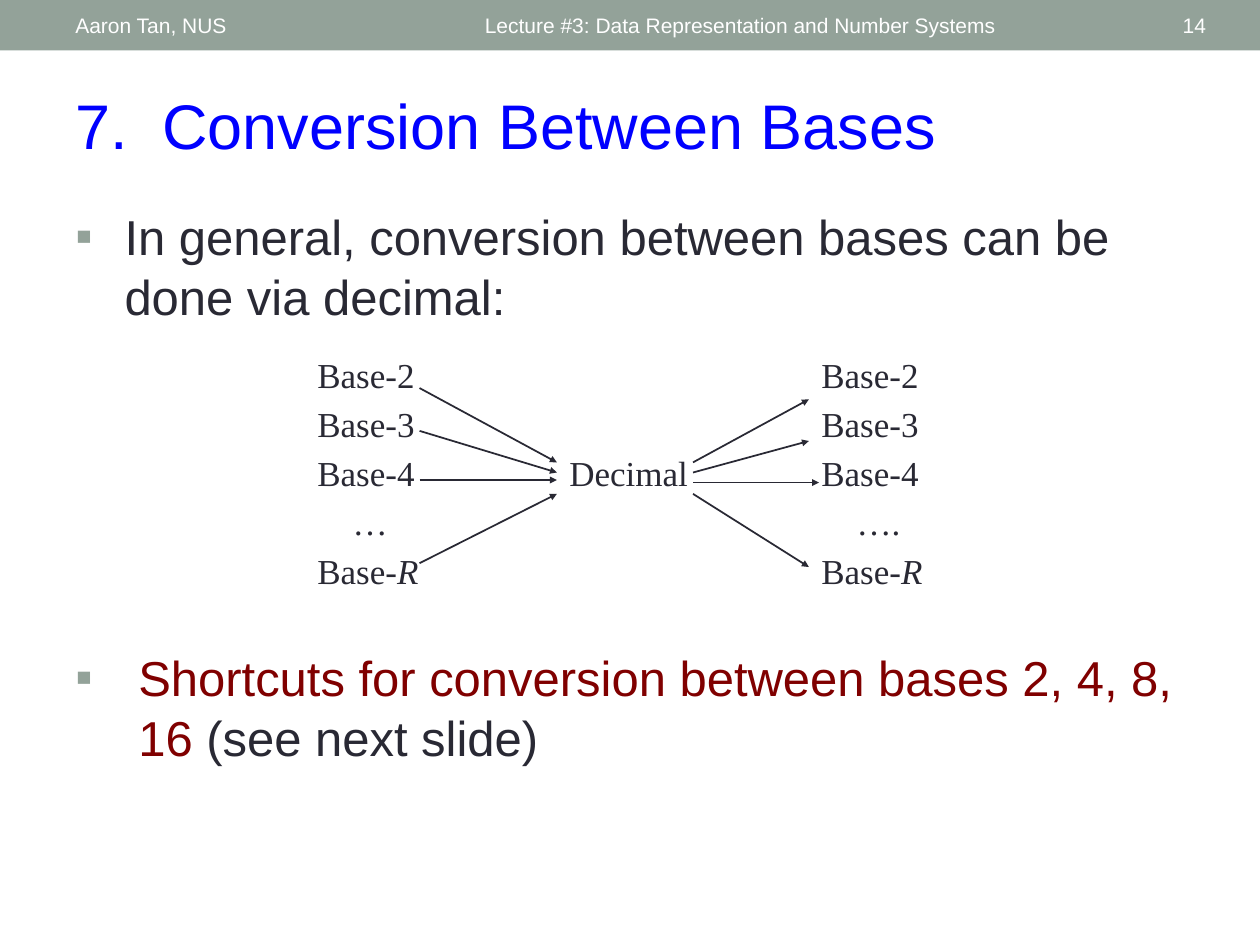
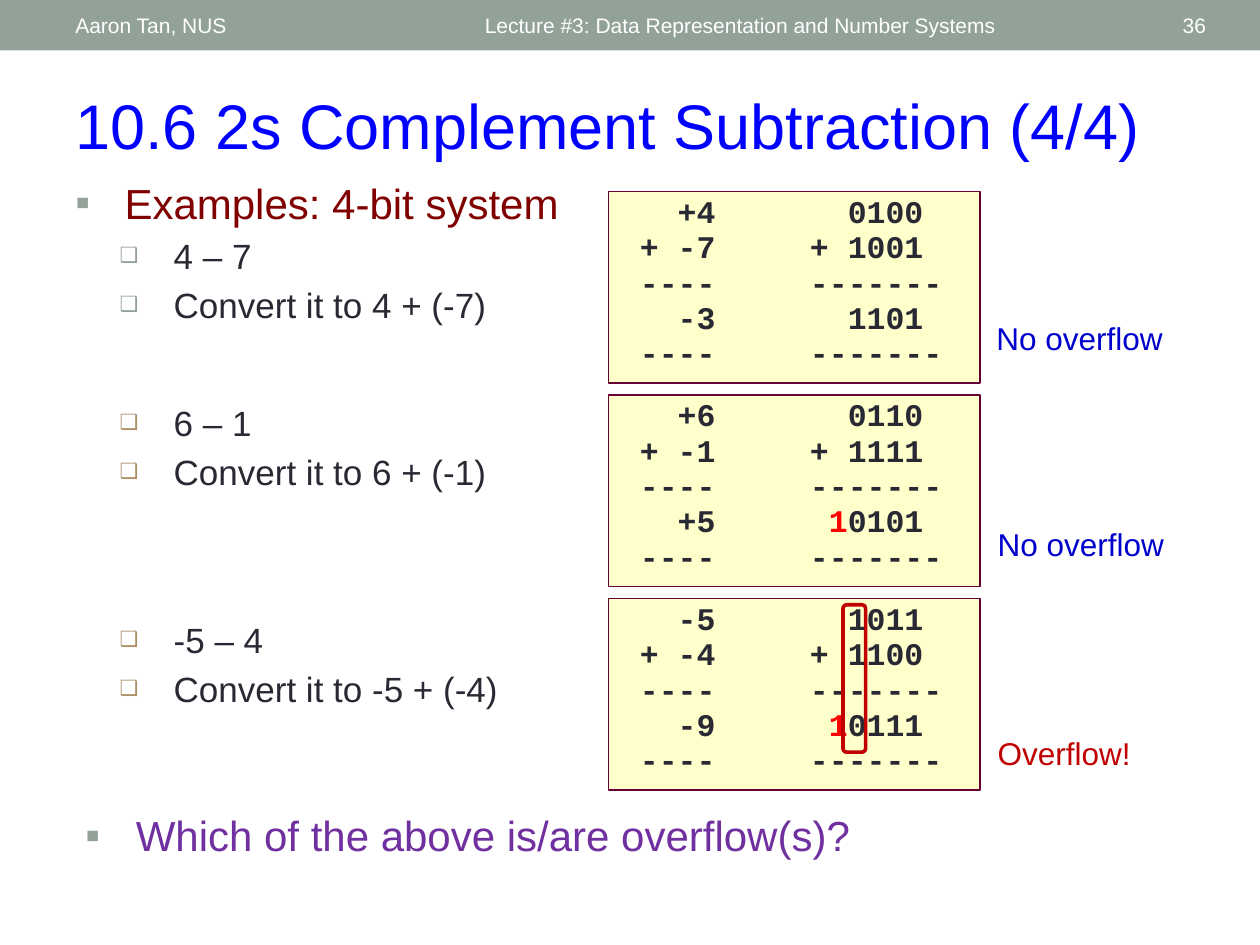
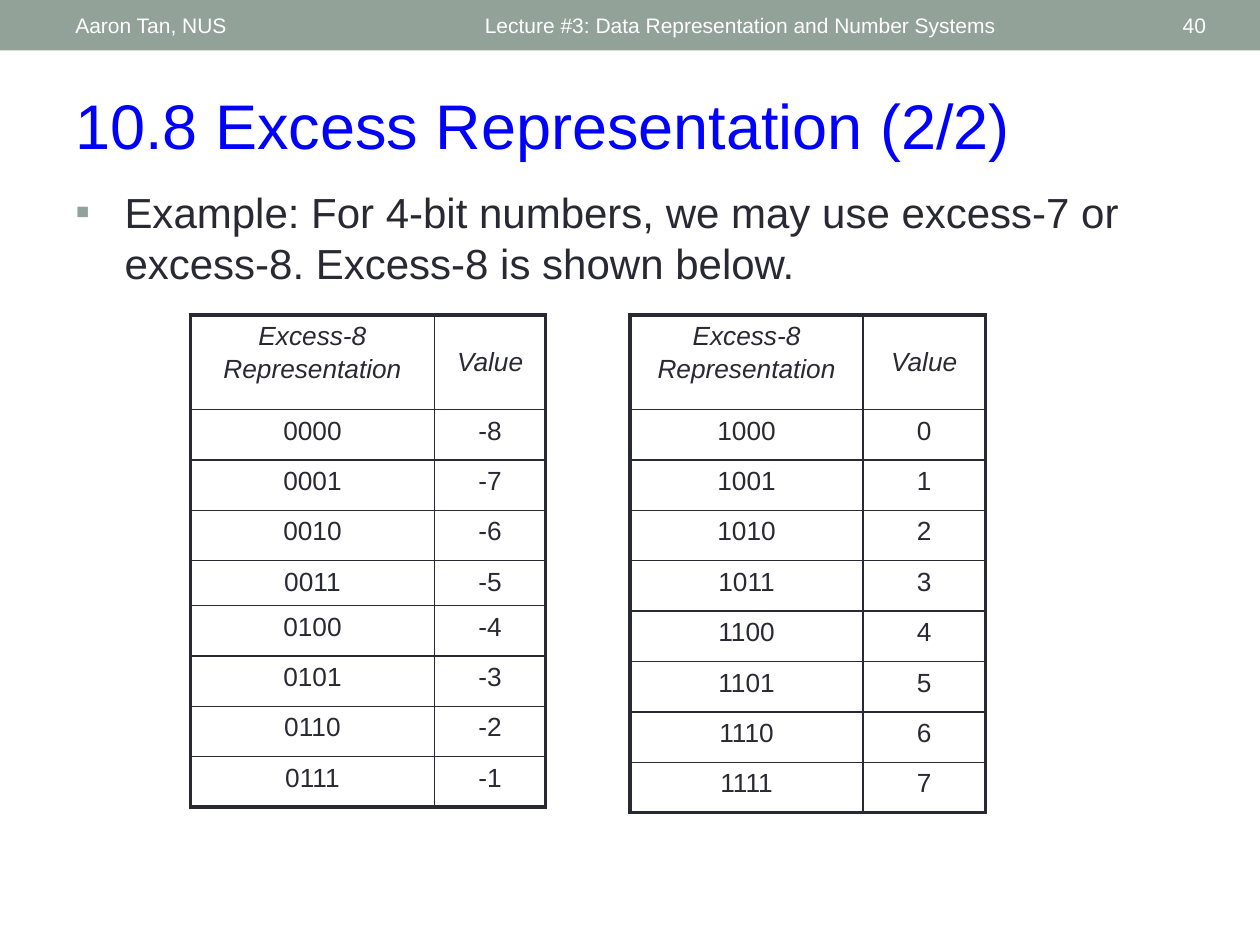
import dataclasses

import lxml.etree
import pptx
import pptx.dml.color
import pptx.enum.shapes
import pptx.enum.text
import pptx.oxml
import pptx.oxml.ns
import pptx.util

Inches = pptx.util.Inches
Pt = pptx.util.Pt
qn = pptx.oxml.ns.qn
Color = pptx.dml.color.RGBColor.from_string
Align = pptx.enum.text.PP_ALIGN
Anchor = pptx.enum.text.MSO_ANCHOR
Shape = pptx.enum.shapes.MSO_SHAPE


@dataclasses.dataclass(frozen=True)
class Theme:
    sage: str = "93A299"
    tan: str = "AD8F67"
    ink: str = "292934"
    white: str = "FFFFFF"
    title_blue: str = "0000FF"
    label_blue: str = "0000CC"
    maroon: str = "800000"
    purple: str = "7030A0"
    carry_red: str = "FF0000"
    alert_red: str = "C00000"
    panel_fill: str = "FFFFCC"
    panel_line: str = "660033"
    sans: str = "Arial"
    serif: str = "Times New Roman"
    mono: str = "Courier New"
    header_size: int = 12
    title_size: int = 36
    large_size: int = 28
    body_size: int = 24
    detail_size: int = 20
    small_size: int = 18
    table_size: int = 15
    line_spacing: float = 1.02


theme = Theme()
square_bullet = ("▪", theme.sage, 100)


def add_text_frame(slide, left, top, width, height, anchor=Anchor.TOP):
    box = slide.shapes.add_textbox(Inches(left), Inches(top), Inches(width), Inches(height))
    box.text_frame.word_wrap = True
    box.text_frame.vertical_anchor = anchor
    return box.text_frame


def write_line(frame, runs, size, font=theme.sans, bullet=None, margin=0, tabs=(), hanging=0,
               before=0, spacing=theme.line_spacing, align=Align.LEFT, bold=False, italic=False):
    """Add one paragraph; runs are (text, colour) or (text, colour, italic)."""
    paragraph = frame.paragraphs[0]
    if paragraph.runs:
        paragraph = frame.add_paragraph()
        paragraph.space_before = Pt(before)
    properties = paragraph._p.get_or_add_pPr()
    if hanging:  # an explicit indent would cancel the tab stops
        properties.set("marL", str(Inches(margin)))
        properties.set("indent", str(-Inches(hanging)))
    if bullet:
        character, color, percent = bullet
        color_element = lxml.etree.SubElement(properties, qn("a:buClr"))
        lxml.etree.SubElement(color_element, qn("a:srgbClr"), val=color)
        lxml.etree.SubElement(properties, qn("a:buSzPct"), val=str(percent * 1000))
        lxml.etree.SubElement(properties, qn("a:buFont"), typeface=theme.sans)
        lxml.etree.SubElement(properties, qn("a:buChar"), char=character)
    if tabs:
        tab_list = lxml.etree.SubElement(properties, qn("a:tabLst"))
        for position, side in tabs:
            lxml.etree.SubElement(tab_list, qn("a:tab"), pos=str(Inches(position)), algn=side)
    paragraph.line_spacing = spacing
    paragraph.alignment = align
    for text, color, *slant in runs:
        run = paragraph.add_run()
        run.text = text
        run.font.name = font
        run.font.size = Pt(size)
        run.font.bold = bold
        run.font.italic = slant[0] if slant else italic
        run.font.color.rgb = Color(color)


presentation = pptx.Presentation()
presentation.slide_width = Inches(10)
presentation.slide_height = Inches(7.5)

# Header band and title on every slide
slides = []
for number, title in [("14", "7.\tConversion Between Bases"),
                      ("36", "10.6 2s Complement Subtraction (4/4)"),
                      ("40", "10.8 Excess Representation (2/2)")]:
    slide = presentation.slides.add_slide(presentation.slide_layouts[6])
    slides.append(slide)
    band = slide.shapes.add_shape(Shape.RECTANGLE, 0, 0, Inches(10), Inches(0.4))
    band.shadow.inherit = False
    band.fill.solid()
    band.fill.fore_color.rgb = Color(theme.sage)
    band.line.fill.background()
    for text, left, width, align in [
            ("Lecture #3: Data Representation and Number Systems", 3.75, 4.5, Align.LEFT),
            ("Aaron Tan, NUS", 0.5, 3.17, Align.LEFT),
            (number, 8.72, 0.95, Align.RIGHT)]:
        frame = add_text_frame(slide, left, 0.02, width, 0.36, Anchor.MIDDLE)
        write_line(frame, [(text, theme.white)], theme.header_size, align=align, spacing=1.0)
    frame = add_text_frame(slide, 0.5, 0.64, 9, 0.71)
    write_line(frame, [(title, theme.title_blue)], theme.title_size, margin=0.69, hanging=0.69,
               spacing=1.0)

conversion_slide, subtraction_slide, excess_slide = slides

# Conversion: statements
frame = add_text_frame(conversion_slide, 0.5, 1.58, 9, 1.25)
write_line(frame, [("In general, conversion between bases can be done via decimal:", theme.ink)],
           theme.large_size, bullet=square_bullet, margin=0.39, hanging=0.39)
frame = add_text_frame(conversion_slide, 0.5, 5.08, 9, 1.17)
write_line(frame, [("Shortcuts for conversion between bases 2, 4, 8, 16 ", theme.maroon),
                   ("(see next slide)", theme.ink)],
           theme.large_size, bullet=square_bullet, margin=0.5, hanging=0.5)

# Conversion: bases on both sides of decimal
frame = add_text_frame(conversion_slide, 2.42, 2.75, 5.3, 2.03)
for runs, stops in [
        ([("Base-2\tBase-2", theme.ink)], [4]),
        ([("Base-3\tBase-3", theme.ink)], [4]),
        ([("Base-4\tDecimal\tBase-4", theme.ink)], [2, 4]),
        ([("\t…\t….", theme.ink)], [0.28, 4.28]),
        ([("Base-", theme.ink), ("R\t", theme.ink, True),
          ("Base-", theme.ink), ("R", theme.ink, True)], [4])]:
    write_line(frame, runs, theme.detail_size, theme.serif, before=3.5,
               tabs=[(stop, "l") for stop in stops])

# Conversion: arrows into and out of decimal
for start_x, start_y, end_x, end_y in [
        (3.33, 3.08, 4.42, 3.67), (3.33, 3.42, 4.42, 3.75),
        (3.33, 3.81, 4.42, 3.81), (3.33, 4.47, 4.42, 3.92),
        (5.5, 3.67, 6.42, 3.17), (5.5, 3.75, 6.42, 3.5),
        (5.5, 3.83, 6.5, 3.83), (5.5, 3.92, 6.42, 4.5)]:
    arrow = conversion_slide.shapes.add_connector(
        pptx.enum.shapes.MSO_CONNECTOR.STRAIGHT,
        Inches(start_x), Inches(start_y), Inches(end_x), Inches(end_y))
    arrow.line.color.rgb = Color(theme.ink)
    arrow.line.width = Pt(1)
    lxml.etree.SubElement(arrow.line._get_or_add_ln(), qn("a:tailEnd"),
                          type="triangle", w="sm", len="sm")
    lxml.etree.SubElement(arrow._element.spPr, qn("a:effectLst"))

# Subtraction: examples, sums and verdicts
examples = [
    (1.35, 4.75, 1.32, theme.sage, ["4 – 7", "Convert it to 4 + (-7)"],
     ["+4", "+ -7", "-3"], ["0100", "+ 1001", "", "1101"],
     "No overflow", 7.81, 2.48, 1.69, theme.label_blue),
    (3.13, 4.08, 0.91, theme.tan, ["6 – 1", "Convert it to 6 + (-1)"],
     ["+6", "+ -1", "+5"], ["0110", "+ 1111", "1", "0101"],
     "No overflow", 7.82, 4.12, 1.69, theme.label_blue),
    (4.85, 4.08, 0.91, theme.tan, ["-5 – 4", "Convert it to -5 + (-4)"],
     ["-5", "+ -4", "-9"], ["1011", "+ 1100", "1", "0111"],
     "Overflow!", 7.82, 5.78, 1.43, theme.alert_red),
]
for index, (top, width, height, bullet_color, steps, decimal, binary,
            verdict, verdict_left, verdict_top, verdict_width, verdict_color) in enumerate(examples):
    frame = add_text_frame(subtraction_slide, 0.5, top, width, height)
    if index == 0:
        write_line(frame, [("Examples: 4-bit system", theme.maroon)], theme.body_size,
                   bullet=square_bullet, margin=0.39, hanging=0.39)
    for step in steps:
        write_line(frame, [(step, theme.ink)], theme.detail_size, before=3.5,
                   bullet=("❑", bullet_color, 60), margin=0.78, hanging=0.43)

    panel = subtraction_slide.shapes.add_shape(
        Shape.RECTANGLE, Inches(4.83), Inches(1.52 + 1.615 * index), Inches(2.95), Inches(1.52))
    panel.shadow.inherit = False
    panel.fill.solid()
    panel.fill.fore_color.rgb = Color(theme.panel_fill)
    panel.line.color.rgb = Color(theme.panel_line)
    panel.line.width = Pt(1)
    panel.text_frame.vertical_anchor = Anchor.TOP
    first, second, carry, result = binary
    rule = [("\t----\t-------", theme.ink)]
    for runs in [[(f"\t{decimal[0]}\t{first}", theme.ink)],
                 [(f"\t{decimal[1]}\t{second}", theme.ink)],
                 rule,
                 [(f"\t{decimal[2]}\t", theme.ink)]
                 + ([(carry, theme.carry_red)] if carry else [])
                 + [(result, theme.ink)],
                 rule]:
        right_stop = 2.55 if runs is rule else 2.4
        write_line(panel.text_frame, runs, theme.small_size, theme.mono, before=1.8,
                   spacing=0.85, bold=True, tabs=[(0.75, "r"), (right_stop, "r")])

    frame = add_text_frame(subtraction_slide, verdict_left, verdict_top, verdict_width, 0.4)
    write_line(frame, [(verdict, verdict_color)], theme.small_size, spacing=1.0)

# Subtraction: sign bit outline and closing question
sign_outline = subtraction_slide.shapes.add_shape(
    Shape.ROUNDED_RECTANGLE, Inches(6.69), Inches(4.8), Inches(0.18), Inches(1.17))
sign_outline.shadow.inherit = False
sign_outline.fill.background()
sign_outline.line.color.rgb = Color(theme.alert_red)
sign_outline.line.width = Pt(2.08)
frame = add_text_frame(subtraction_slide, 0.58, 6.37, 9, 0.75)
write_line(frame, [("Which of the above is/are overflow(s)?", theme.purple)], theme.body_size,
           bullet=square_bullet, margin=0.4, hanging=0.4)

# Excess: statement
frame = add_text_frame(excess_slide, 0.5, 1.42, 9, 1.08)
write_line(frame, [("Example: For 4-bit numbers, we may use excess-7 or excess-8. "
                    "Excess-8 is shown below.", theme.ink)],
           theme.body_size, bullet=square_bullet, margin=0.39, hanging=0.39)

# Excess: two halves of the code table
for left, column_widths, first_code, short_row in [(1.51, (1.94, 0.88), 0, 4),
                                                   (5, (1.85, 0.97), 8, None)]:
    row_heights = [0.75] + [0.35 if row == short_row else 0.4 for row in range(1, 9)]
    table = excess_slide.shapes.add_table(
        9, 2, Inches(left), Inches(2.5), Inches(sum(column_widths)),
        Inches(sum(row_heights))).table
    table.first_row = False
    table.horz_banding = False
    for column, width in enumerate(column_widths):
        table.columns[column].width = Inches(width)
    rows = [(["Excess-8", "Representation"], ["Value"])]
    rows += [([f"{code:04b}"], [str(code - 8)]) for code in range(first_code, first_code + 8)]
    for row, contents in enumerate(rows):
        table.rows[row].height = Inches(row_heights[row])
        for column, lines in enumerate(contents):
            cell = table.cell(row, column)
            if lines == ["Value"]:
                cell.vertical_anchor = Anchor.MIDDLE
            for line in lines:
                write_line(cell.text_frame, [(line, theme.ink)], theme.table_size, before=2,
                           align=Align.CENTER, italic=row == 0)
            cell_properties = cell._tc.get_or_add_tcPr()
            for side, is_outer in [("L", column == 0), ("R", column == 1),
                                   ("T", row == 0), ("B", row == 8)]:
                border = lxml.etree.SubElement(cell_properties, qn(f"a:ln{side}"),
                                               w=str(Pt(2.25 if is_outer else 1)))
                border_fill = lxml.etree.SubElement(border, qn("a:solidFill"))
                lxml.etree.SubElement(border_fill, qn("a:srgbClr"), val=theme.ink)
            cell.fill.background()

presentation.save("out.pptx")
